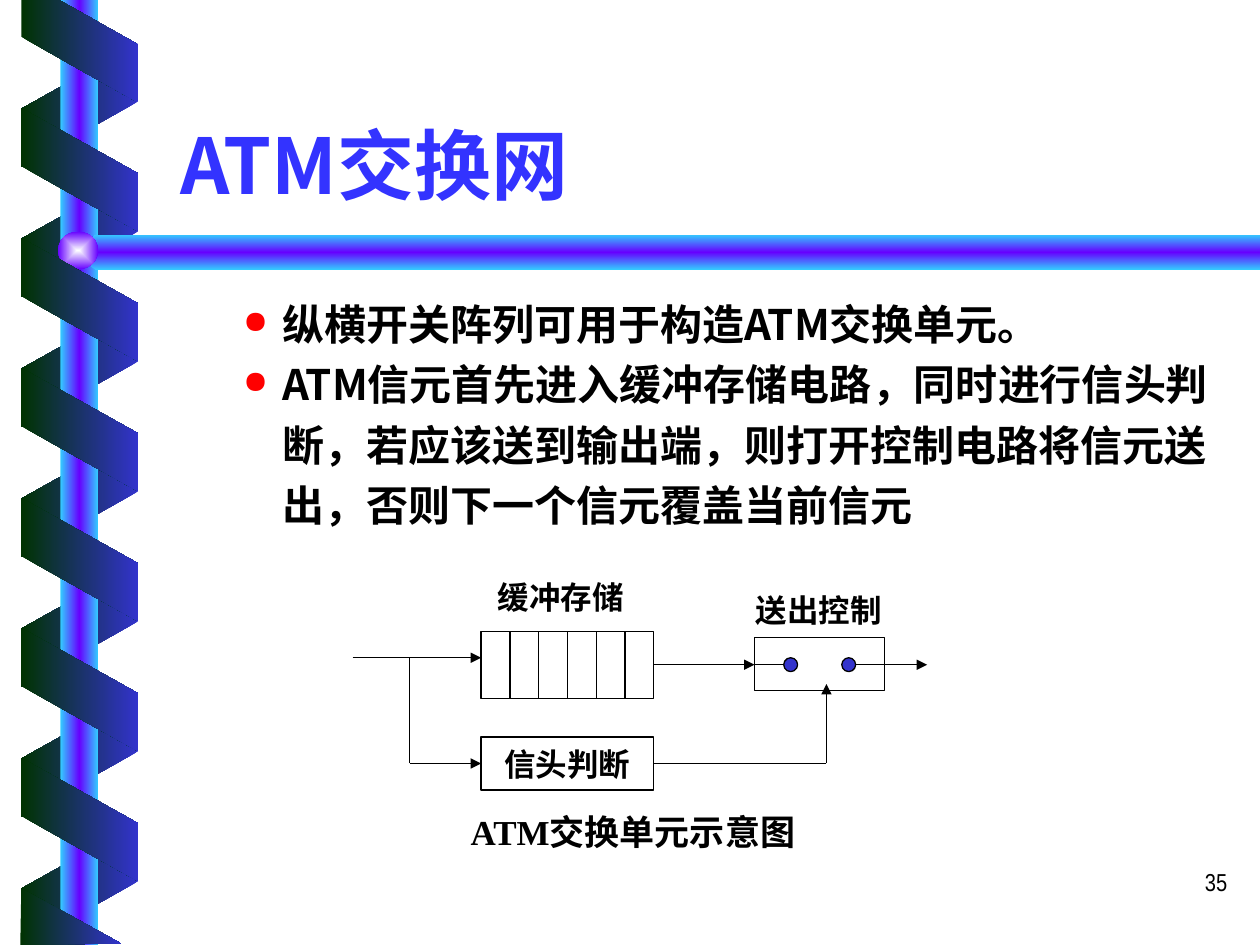
from pptx import Presentation
from pptx.dml.color import RGBColor
from pptx.enum.shapes import MSO_CONNECTOR, MSO_SHAPE
from pptx.enum.text import MSO_ANCHOR, PP_ALIGN
from pptx.oxml import parse_xml
from pptx.oxml.ns import nsdecls, qn
from pptx.util import Cm, Pt

RECT, OVAL, SLANT = MSO_SHAPE.RECTANGLE, MSO_SHAPE.OVAL, MSO_SHAPE.PARALLELOGRAM
LINE = MSO_CONNECTOR.STRAIGHT
LEFT, MID, RIGHT = PP_ALIGN.LEFT, PP_ALIGN.CENTER, PP_ALIGN.RIGHT
TOP, HALF, LOW = MSO_ANCHOR.TOP, MSO_ANCHOR.MIDDLE, MSO_ANCHOR.BOTTOM
SANS, SERIF, SLIM = "Noto Sans CJK SC", "Times New Roman", "Arial Narrow"
GREEN, BLUE, BLACK = "003300", "3333CC", "000000"
TUBE = ["33CCFF", "6600FF", "33CCFF"]
FLOW = '<a:lin ang="0" scaled="0"/>'
DOWN = '<a:lin ang="5400000" scaled="0"/>'
GLOW = '<a:path path="rect"><a:fillToRect l="50000" t="50000" r="50000" b="50000"/></a:path>'


def hue(code):
    return RGBColor.from_string(code)


def shade(shape, tones, way=FLOW):
    shape.shadow.inherit = False
    shape.line.fill.background()
    shape.fill.gradient()
    stops = "".join(
        f'<a:gs pos="{100000 * n // (len(tones) - 1)}"><a:srgbClr val="{tone}"/></a:gs>'
        for n, tone in enumerate(tones))
    props = shape._element.spPr
    props.replace(props.find(qn("a:gradFill")), parse_xml(
        f'<a:gradFill {nsdecls("a")} rotWithShape="0"><a:gsLst>{stops}</a:gsLst>{way}</a:gradFill>'))


deck = Presentation()
deck.slide_width, deck.slide_height = Cm(25.4), Cm(19.05)
slide = deck.slides.add_slide(deck.slide_layouts[6])
shapes = slide.shapes

for n in range(7):
    band = shapes.add_shape(SLANT, Cm(0.36), Cm(0.94 + 2.62 * n), Cm(2.49), Cm(2.36))
    band.adjustments[0] = 0.56
    band.rotation = 90
    band._element.spPr.xfrm.set("flipH", "1")
    shade(band, [BLUE, GREEN])

pole = shapes.add_shape(RECT, Cm(1.22), 0, Cm(0.76), Cm(19.05))
shade(pole, TUBE)

pen = shapes.build_freeform(Cm(25.4), Cm(4.73))
pen.add_line_segments([(Cm(x), Cm(y)) for x, y in
                       [(1.93, 4.73), (1.52, 5.08), (1.93, 5.44), (25.4, 5.44)]])
shade(pen.convert_to_shape(), TUBE, DOWN)

knob = shapes.add_shape(OVAL, Cm(1.17), Cm(4.67), Cm(0.81), Cm(0.76))
shade(knob, ["FEFFFF", "6600FF"], GLOW)

for n in range(6):
    band = shapes.add_shape(SLANT, Cm(0.36), Cm(2.24 + 2.62 * n), Cm(2.49), Cm(2.36))
    band.adjustments[0] = 0.56
    band.rotation = 270
    shade(band, [GREEN, BLUE])

ends = [
    [(0.43, 0), (0.43, 0.74), (2.77, 2.06), (2.77, 0.89), (1.19, 0)],
    [(2.44, 19.02), (0.43, 17.91), (0.41, 19.05)],
]
for spots in ends:
    first, *rest = [(Cm(x), Cm(y)) for x, y in spots]
    pen = shapes.build_freeform(*first)
    pen.add_line_segments(rest)
    shade(pen.convert_to_shape(), [GREEN, BLUE])

cells = [(RECT, 9.7 + 0.58 * n, 12.73, 0.58, 1.35) for n in range(6)]
parts = cells + [
    (OVAL, 15.8, 13.26, 0.28, 0.28),
    (OVAL, 16.97, 13.26, 0.28, 0.28),
    (RECT, 15.21, 12.85, 2.62, 1.07),
    (RECT, 9.7, 14.86, 3.48, 1.07),
]
for kind, *place in parts:
    part = shapes.add_shape(kind, *map(Cm, place))
    part.shadow.inherit = False
    part.line.color.rgb = hue(BLACK)
    part.line.width = Pt(0.75)
    if kind == OVAL:
        part.fill.solid()
        part.fill.fore_color.rgb = hue(BLUE)
    else:
        part.fill.background()
judge = part

wires = [
    (17.25, 13.4, 18.69, 13.4, True),
    (15.8, 13.4, 15.21, 13.4, False),
    (13.18, 13.4, 15.21, 13.4, True),
    (7.11, 13.26, 9.7, 13.26, True),
    (8.26, 13.26, 8.26, 15.39, False),
    (8.26, 15.39, 9.7, 15.39, True),
    (13.18, 15.39, 16.66, 15.39, False),
    (16.66, 15.39, 16.66, 13.79, True),
]
for *ends, tip in wires:
    wire = shapes.add_connector(LINE, *map(Cm, ends))
    wire.line.color.rgb = hue(BLACK)
    wire.line.width = Pt(0.75)
    if tip:
        wire.line._get_or_add_ln().append(parse_xml(f'<a:tailEnd {nsdecls("a")} type="triangle"/>'))
    wire._element.spPr.append(parse_xml(f'<a:effectLst {nsdecls("a")}/>'))

title = {"name": SANS, "size": Pt(44), "bold": True}
body = {"name": SANS, "size": Pt(24), "bold": True}
label = {"name": SERIF, "size": Pt(18), "bold": True}
note = {"name": SERIF, "size": Pt(20), "bold": True}
page = {"name": SLIM, "size": Pt(14), "bold": False}
points = [
    "纵横开关阵列可用于构造ATM交换单元。",
    "ATM信元首先进入缓冲存储电路，同时进行信头判断，若应该送到输出端，则打开控制电路将信元送出，否则下一个信元覆盖当前信元",
]
texts = [
    ((19.71, 17.35, 5.28, 1.27), ["35"], page, BLACK, RIGHT, TOP),
    ((3.38, 1.17, 21.59, 3.18), ["ATM交换网"], title, "3333FF", LEFT, LOW),
    ((3.38, 5.69, 21.59, 5.26), points, body, BLACK, LEFT, TOP),
    (None, ["信头判断"], label, BLACK, MID, HALF),
    ((14.63, 11.79, 3.76, 1.02), ["送出控制"], label, BLACK, MID, HALF),
    ((9.42, 11.53, 3.76, 1.02), ["缓冲存储"], label, BLACK, MID, HALF),
    ((7.39, 16.21, 10.74, 1.12), ["ATM交换单元示意图"], note, BLACK, MID, TOP),
]
for place, words, form, tone, align, anchor in texts:
    box = shapes.add_textbox(*map(Cm, place)) if place else judge
    frame = box.text_frame
    frame.word_wrap = True
    frame.vertical_anchor = anchor
    frame.text = "\n".join(words)
    for para in frame.paragraphs:
        para.alignment = align
        if form is body:
            para.level = 1
            para.line_spacing = 1.2
            props = para._p.get_or_add_pPr()
            props.set("marL", str(Cm(2.06)))
            props.set("indent", str(Cm(-0.79)))
            for item in ('buClr {}><a:srgbClr val="FF0000"/></a:buClr>',
                         'buSzPct {} val="75000"/>', 'buChar {} char="●"/>'):
                props.append(parse_xml("<a:" + item.format(nsdecls("a"))))
        for run in para.runs:
            for key, val in form.items():
                setattr(run.font, key, val)
            run.font.color.rgb = hue(tone)
            run._r.get_or_add_rPr().append(parse_xml(f'<a:ea {nsdecls("a")} typeface="{SANS}"/>'))

deck.save("out.pptx")
